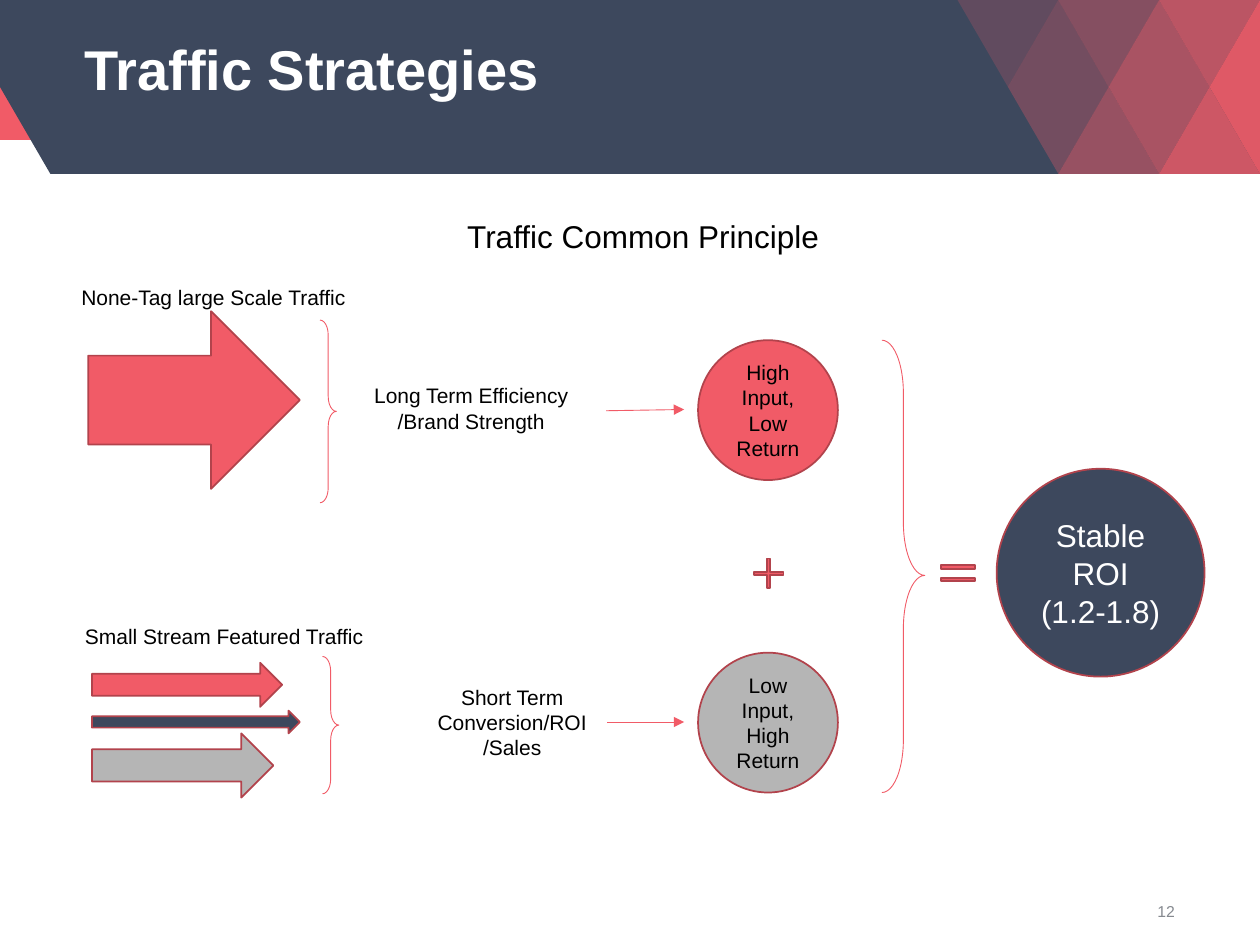
from lxml.etree import SubElement
from pptx import Presentation
from pptx.dml.color import RGBColor
from pptx.enum.shapes import MSO_CONNECTOR, MSO_SHAPE
from pptx.enum.text import MSO_ANCHOR, PP_ALIGN
from pptx.oxml.ns import qn
from pptx.util import Inches, Pt

CORAL = RGBColor(0xF1, 0x5B, 0x67)
NAVY = RGBColor(0x3D, 0x48, 0x5D)
GRAY = RGBColor(0xB5, 0xB5, 0xB5)
EDGE = RGBColor(0xB2, 0x43, 0x4C)
MUTED = RGBColor(0x85, 0x89, 0x8F)
WHITE = RGBColor(0xFF, 0xFF, 0xFF)
BLACK = RGBColor(0, 0, 0)
CENTER, LEFT = PP_ALIGN.CENTER, PP_ALIGN.LEFT

BAND = 1.38
STEP = 0.4
MID = BAND / 2
HEADER = [(10, 0), (10, BAND), (STEP, BAND), (0, MID), (0, 0)]
DIAMONDS = [(8.4, 30), (9.2, 60)]
TOPS = [(8, 20), (8.8, 40), (9.6, 70)]
BASES = [(8.8, 50), (9.6, 80)]

ARROWS = [
    ((0.7, 2.47, 1.68, 1.41), CORAL),
    ((0.73, 5.26, 1.51, 0.35), CORAL),
    ((0.73, 5.64, 1.65, 0.18), NAVY),
    ((0.73, 5.82, 1.44, 0.51), GRAY),
]
BRACES = [
    ((2.54, 2.54, 0.13, 1.45), (0.911, 0.5)),
    ((2.56, 5.21, 0.13, 1.09), (0.911, 0.5)),
    ((7, 2.7, 0.34, 3.59), (1.232, 0.52)),
]
SIGNS = [
    (MSO_SHAPE.MATH_PLUS, (5.94, 4.39, 0.32, 0.32), (0.069,)),
    (MSO_SHAPE.MATH_EQUAL, (7.42, 4.45, 0.37, 0.2), (0.133, 0.363)),
]
CIRCLES = [
    ((5.54, 2.7, 1.11, 1.11), CORAL, ["High Input,", "Low Return"], 12, BLACK),
    ((5.54, 5.18, 1.11, 1.11), GRAY, ["Low Input,", "High Return"], 12, BLACK),
    ((7.91, 3.72, 1.65, 1.65), NAVY, ["Stable ROI", "(1.2-1.8)"], 18, WHITE),
]
LINKS = [(4.81, 3.26, 5.43, 3.25), (4.82, 5.73, 5.43, 5.73)]
LABELS = [
    ((0.14, 2.21, 3.11, 0.3), ["None-Tag large Scale Traffic"]),
    ((0.4, 4.9, 2.76, 0.3), ["Small Stream Featured Traffic"]),
    ((2.78, 2.99, 1.92, 0.5), ["Long Term Efficiency", "/Brand Strength"]),
    ((3.37, 5.38, 1.39, 0.71), ["Short Term Conversion/ROI/Sales"]),
]

deck = Presentation()
deck.slide_width, deck.slide_height = Inches(10), Inches(7.5)
slide = deck.slides.add_slide(deck.slide_layouts[5])
shapes = slide.shapes


def inch(box):
    return [Inches(v) for v in box]


def write(shape, lines, size, color, align=CENTER, bold=False):
    frame = shape.text_frame
    frame.text = "\n".join(lines)
    for para in frame.paragraphs:
        para.alignment = align
        font = para.font
        font.name, font.size, font.bold = "Arial", Pt(size), bold
        font.color.rgb = color
    return frame


def flush(frame):
    frame.vertical_anchor = MSO_ANCHOR.MIDDLE
    frame.margin_left = frame.margin_right = 0
    frame.margin_top = frame.margin_bottom = 0


def label(box, lines, size=12, color=BLACK, align=CENTER, wrap=True):
    frame = write(shapes.add_textbox(*inch(box)), lines, size, color, align)
    frame.word_wrap = wrap
    return frame


def paint(shape, fill, line=None, width=1):
    shape.shadow.inherit = False
    if fill is None:
        shape.fill.background()
    else:
        shape.fill.solid()
        shape.fill.fore_color.rgb = fill
    if line is None:
        shape.line.fill.background()
    else:
        shape.line.color.rgb = line
        shape.line.width = Pt(width)


def draw(kind, box, fill, line=EDGE, width=1, adjust=()):
    shape = shapes.add_shape(kind, *inch(box))
    paint(shape, fill, line, width)
    for i, value in enumerate(adjust):
        shape.adjustments[i] = value
    return shape


def facet(points, fill=CORAL, alpha=100):
    first, *rest = [inch(p) for p in points]
    pen = shapes.build_freeform(*first)
    pen.add_line_segments(rest)
    shape = pen.convert_to_shape()
    paint(shape, fill)
    if alpha < 100:
        tint = shape.element.spPr.find(qn("a:solidFill"))[0]
        SubElement(tint, qn("a:alpha"), val=str(alpha * 1000))


draw(MSO_SHAPE.RECTANGLE, (0, 0, 10, 1.11), CORAL, None)
facet(HEADER, NAVY)
for x, alpha in DIAMONDS:
    facet([(x - STEP, MID), (x, 0), (x + STEP, MID), (x, BAND)], CORAL, alpha)
for row, edge in ((TOPS, 0), (BASES, BAND)):
    for x, alpha in row:
        facet([(x - STEP, edge), (x + STEP, edge), (x, MID)], CORAL, alpha)
facet([(10 - STEP, MID), (10, 0), (10, BAND)], CORAL, 90)

title = shapes.title
title.left, title.top, title.width, title.height = inch((0.67, 0.19, 8.66, 0.65))
frame = write(title, ["Traffic Strategies"], 32, WHITE, LEFT, True)
frame.paragraphs[0].line_spacing = Pt(42)
flush(frame)
shapes.element.append(title.element)
flush(label((9.02, 6.96, 0.47, 0.54), ["12"], 9, MUTED))

for box, fill in ARROWS:
    draw(MSO_SHAPE.RIGHT_ARROW, box, fill)
for box, lines in LABELS:
    label(box, lines)
for box, adjust in BRACES:
    draw(MSO_SHAPE.RIGHT_BRACE, box, None, CORAL, 0.5, adjust)
for ends in LINKS:
    link = shapes.add_connector(MSO_CONNECTOR.STRAIGHT, *inch(ends))
    link.line.color.rgb = CORAL
    link.line.width = Pt(0.5)
    SubElement(link.line._get_or_add_ln(), qn("a:tailEnd"), type="triangle")
    SubElement(link.element.spPr, qn("a:effectLst"))
for box, fill, lines, size, color in CIRCLES:
    frame = write(draw(MSO_SHAPE.OVAL, box, fill), lines, size, color)
    frame.vertical_anchor = MSO_ANCHOR.MIDDLE
for kind, box, adjust in SIGNS:
    draw(kind, box, CORAL, adjust=adjust)
label((3.61, 1.67, 3.02, 0.4), ["Traffic Common Principle"], 18, align=LEFT, wrap=False)

deck.save("out.pptx")
